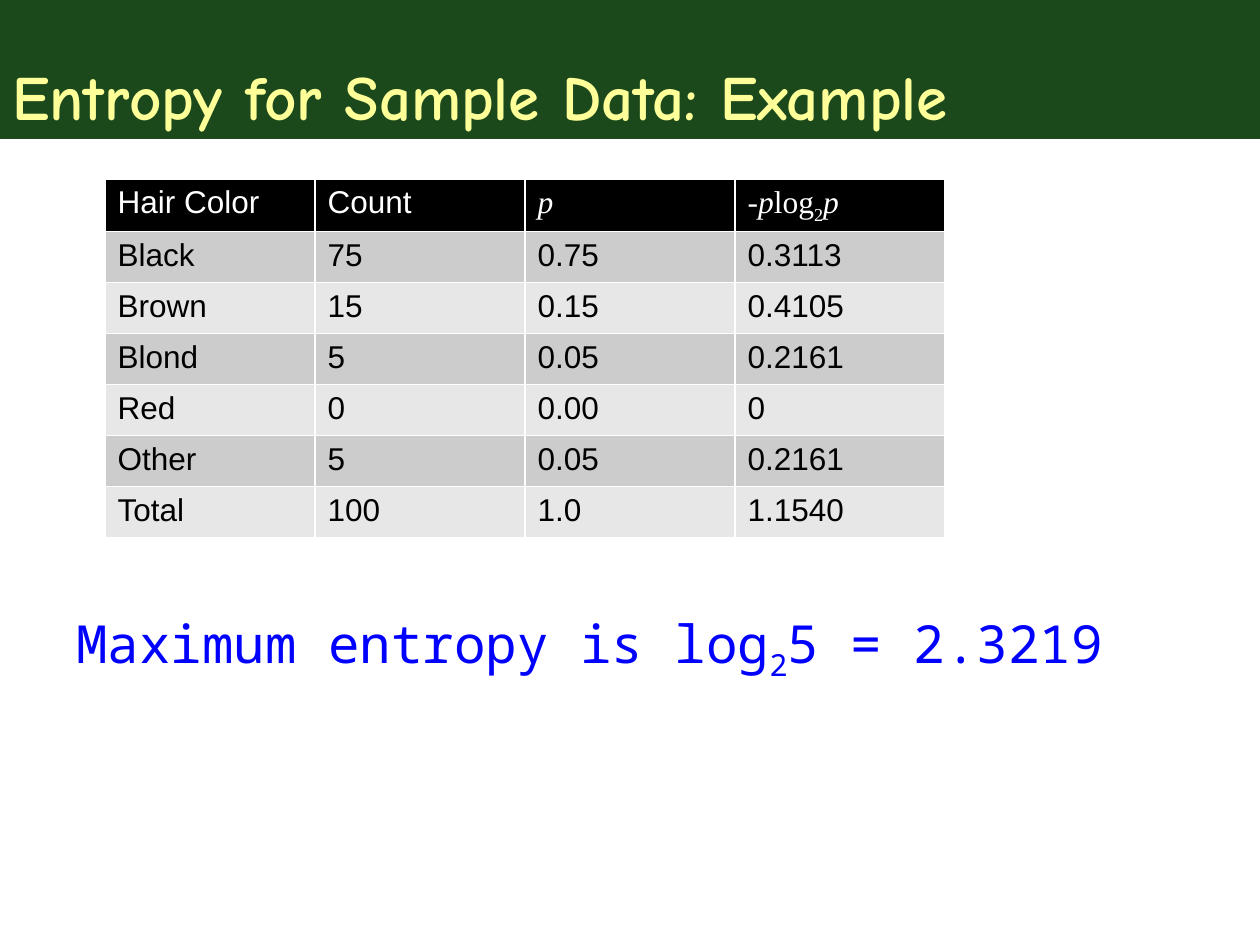
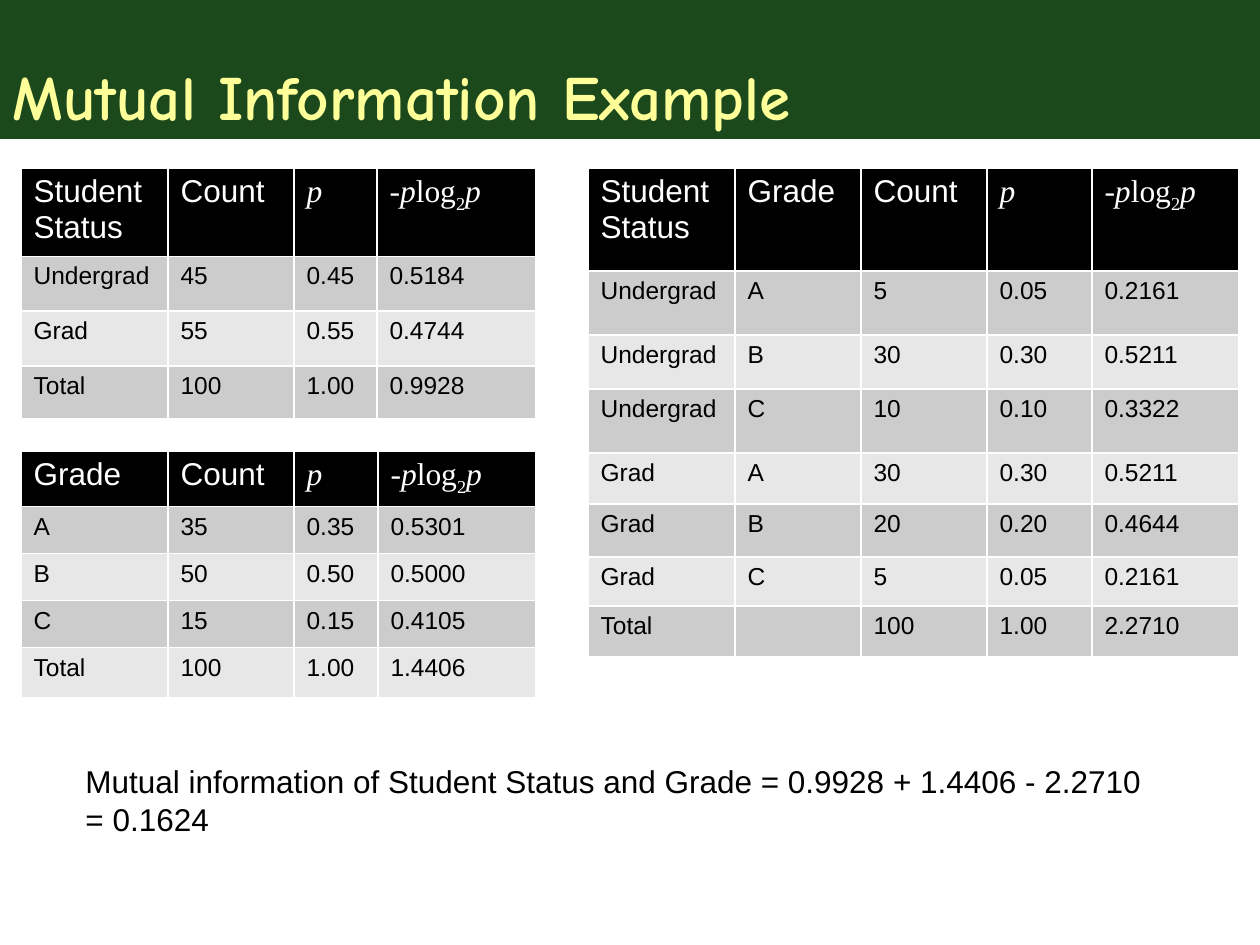
from lxml import etree
from pptx import Presentation
from pptx.dml.color import RGBColor
from pptx.enum.shapes import MSO_SHAPE
from pptx.enum.text import MSO_ANCHOR, PP_ALIGN
from pptx.oxml.ns import qn
from pptx.util import Emu, Pt

RECT = MSO_SHAPE.RECTANGLE
TOP, BOTTOM = MSO_ANCHOR.TOP, MSO_ANCHOR.BOTTOM
LEFT = PP_ALIGN.LEFT
SCALE = 914400 / 126
HUES = {"band": "003300", "title": "FFFF99", "head": "000000", "odd": "CCCCCC",
        "even": "E7E7E7", "white": "FFFFFF", "ink": "000000", "blue": "0000FF"}
SANS, SERIF, MONO, COMIC = "Arial", "Times New Roman", "Noto Sans Mono", "Comic Neue"
PROB = [("p", "italic")]
TERM = [("-p", "italic"), ("log", ""), ("2", "sub"), ("p", "italic")]


def px(count):
    return Emu(round(count * SCALE))


def hue(name):
    return RGBColor.from_string(HUES[name])


class Deck:
    def __init__(self):
        self.show = Presentation()
        self.show.slide_width, self.show.slide_height = px(1260), px(945)
        self.slide = None

    def page(self, title):
        self.slide = self.show.slides.add_slide(self.show.slide_layouts[6])
        band = self.slide.shapes.add_shape(RECT, 0, 0, px(1260), px(139))
        band.shadow.inherit = False
        band.line.fill.background()
        band.fill.solid()
        band.fill.fore_color.rgb = hue("band")
        tint = band.fill._xPr.find(qn("a:solidFill"))[0]
        etree.SubElement(tint, qn("a:alpha"), val="89000")
        band.text_frame.word_wrap = True
        band.text_frame.vertical_anchor = BOTTOM
        self.label(band.text_frame, title, 36, COMIC, "title", True)

    def label(self, frame, parts, size, face, tone, bold=False):
        para = frame.paragraphs[0]
        para.alignment = LEFT
        if isinstance(parts, str):
            para.text = parts
            styles = [""] * len(para.runs)
        else:
            for word, style in parts:
                para.add_run().text = word
            styles = [style for word, style in parts]
        for run, style in zip(para.runs, styles):
            font = run.font
            font.size, font.name, font.bold = Pt(size), face, bold
            font.color.rgb = hue(tone)
            font.italic = style == "italic"
            if style == "sub":
                font._element.set("baseline", "-25000")

    def note(self, x, y, wide, high, parts, size, face, tone):
        box = self.slide.shapes.add_textbox(px(x), px(y), px(wide), px(high))
        box.text_frame.word_wrap = True
        self.label(box.text_frame, parts, size, face, tone)

    def edge(self, cell):
        props = cell._tc.get_or_add_tcPr()
        for side in "LRTB":
            line = etree.SubElement(props, qn("a:ln" + side), w=str(Pt(1)))
            fill = etree.SubElement(line, qn("a:solidFill"))
            etree.SubElement(fill, qn("a:srgbClr"), val=HUES["white"])

    def table(self, x, y, wides, highs, rows, size):
        frame = self.slide.shapes.add_table(len(highs), len(wides), px(x), px(y),
                                            px(sum(wides)), px(sum(highs)))
        grid = frame.table
        grid.first_row = grid.horz_banding = False
        for col, wide in zip(grid.columns, wides):
            col.width = px(wide)
        for i, (high, row) in enumerate(zip(highs, rows)):
            grid.rows[i].height = px(high)
            back = "head" if i == 0 else "odd" if i % 2 else "even"
            for j, parts in enumerate(row):
                cell = grid.cell(i, j)
                self.edge(cell)
                cell.fill.solid()
                cell.fill.fore_color.rgb = hue(back)
                cell.vertical_anchor = TOP
                face = SANS if isinstance(parts, str) else SERIF
                self.label(cell.text_frame, parts, size if i else 18, face,
                           "ink" if i else "white")


def main():
    deck = Deck()

    deck.page("Entropy for Sample Data: Example")
    hair = [("Hair Color", "Count", PROB, TERM),
            ("Black", "75", "0.75", "0.3113"),
            ("Brown", "15", "0.15", "0.4105"),
            ("Blond", "5", "0.05", "0.2161"),
            ("Red", "0", "0.00", "0"),
            ("Other", "5", "0.05", "0.2161"),
            ("Total", "100", "1.0", "1.1540")]
    deck.table(105, 179, [210] * 4, [51] * 7, hair, 18)
    peak = [("Maximum entropy is log", ""), ("2", "sub"), ("5 = 2.3219", "")]
    deck.note(64, 605, 1134, 84, peak, 30, MONO, "blue")

    deck.page("Mutual Information Example")
    status = [("Student Status", "Count", PROB, TERM),
              ("Undergrad", "45", "0.45", "0.5184"),
              ("Grad", "55", "0.55", "0.4744"),
              ("Total", "100", "1.00", "0.9928")]
    deck.table(21, 168, [147, 126, 83, 159], [55, 55, 55, 53], status, 14)
    grade = [("Grade", "Count", PROB, TERM),
             ("A", "35", "0.35", "0.5301"),
             ("B", "50", "0.50", "0.5000"),
             ("C", "15", "0.15", "0.4105"),
             ("Total", "100", "1.00", "1.4406")]
    deck.table(21, 451, [147, 126, 84, 158], [48, 47, 47, 47, 50], grade, 14)
    joint = [("Student Status", "Grade", "Count", PROB, TERM),
             ("Undergrad", "A", "5", "0.05", "0.2161"),
             ("Undergrad", "B", "30", "0.30", "0.5211"),
             ("Undergrad", "C", "10", "0.10", "0.3322"),
             ("Grad", "A", "30", "0.30", "0.5211"),
             ("Grad", "B", "20", "0.20", "0.4644"),
             ("Grad", "C", "5", "0.05", "0.2161"),
             ("Total", "", "100", "1.00", "2.2710")]
    deck.table(588, 168, [147, 126, 126, 105, 147],
               [103, 64, 54, 64, 51, 53, 49, 49], joint, 14)
    total = ("Mutual information of Student Status and Grade = "
             "0.9928 + 1.4406 - 2.2710 = 0.1624")
    deck.note(73, 756, 1103, 88, total, 18, SANS, "ink")

    deck.show.save("out.pptx")


if __name__ == "__main__":
    main()
